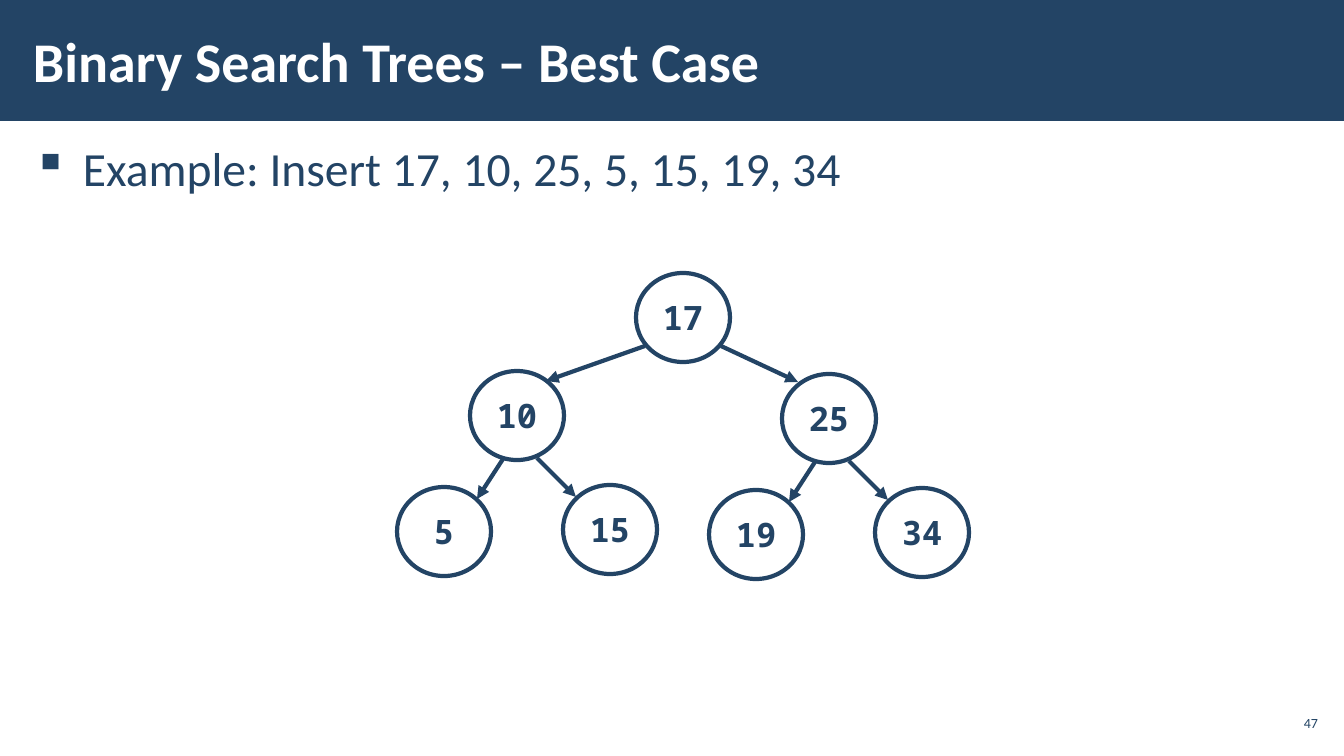
from lxml import etree
from pptx import Presentation
from pptx.dml.color import RGBColor
from pptx.enum.shapes import MSO_CONNECTOR, MSO_SHAPE
from pptx.enum.text import MSO_ANCHOR, MSO_AUTO_SIZE, PP_ALIGN
from pptx.oxml.ns import qn
from pptx.util import Pt

# Content
TITLE = "Binary Search Trees – Best Case"
EXAMPLE = "Example: Insert 17, 10, 25, 5, 15, 19, 34"
PAGE = "47"
ROOT = ("17", 636, 273)
SUBTREES = [  # side, (key, left, top), keys of its left and right child
    ("left", ("10", 470, 371), ("5", "15")),
    ("right", ("25", 782, 374), ("19", "34")),
]

# Geometry in pixels
NODE_W, NODE_H = 94, 89
LEAF_OFFSET = {"left": (-73, 116), "right": (93, 114)}
# Arrow ends, measured from the corners of the parent and child nodes
ROOT_ARROW = {"left": ((9, 73), (76, 10)), "right": ((85, 73), (16, 8))}
LEAF_ARROW = {"left": ((33, 88), (80, 12)), "right": ((67, 87), (13, 12))}

NAVY = RGBColor(0x23, 0x44, 0x65)
WHITE = RGBColor(0xFF, 0xFF, 0xFF)
SANS, MONO = "Calibri", "Noto Sans Mono"
EMU_PER_PX = 914400 / 100.8


def px(*lengths):
    return [round(n * EMU_PER_PX) for n in lengths]


def add_xml(parent, tag, **attributes):
    child = etree.SubElement(parent, qn(tag))
    for name, value in attributes.items():
        child.set(name, value)
    return child


def write(shape, text, size, color, font=SANS, bold=False, align=PP_ALIGN.LEFT,
          anchor=MSO_ANCHOR.MIDDLE, insets=(12, 4), wrap=True):
    frame = shape.text_frame
    frame.auto_size = MSO_AUTO_SIZE.NONE
    frame.word_wrap = wrap
    frame.vertical_anchor = anchor
    frame.margin_left = frame.margin_right = px(insets[0])[0]
    frame.margin_top = frame.margin_bottom = px(insets[1])[0]
    paragraph = frame.paragraphs[0]
    paragraph.alignment = align
    run = paragraph.add_run()
    run.text = text
    run.font.name, run.font.size, run.font.bold = font, Pt(size), bold
    run.font.color.rgb = color
    return paragraph


def add_node(key, left, top):
    node = shapes.add_shape(MSO_SHAPE.OVAL, *px(left, top, NODE_W, NODE_H))
    node.shadow.inherit = False
    node.fill.solid()
    node.fill.fore_color.rgb = WHITE
    add_xml(node.element.spPr.find(".//" + qn("a:srgbClr")), "a:alpha", val="50000")
    node.line.color.rgb, node.line.width = NAVY, Pt(3)
    write(node, key, 24, NAVY, MONO, True, PP_ALIGN.CENTER, wrap=False)


def add_arrow(parent, child, offsets):
    (_, px0, py0), (_, cx0, cy0) = parent, child
    (dx1, dy1), (dx2, dy2) = offsets
    arrow = shapes.add_connector(
        MSO_CONNECTOR.STRAIGHT, *px(px0 + dx1, py0 + dy1, cx0 + dx2, cy0 + dy2))
    arrow.line.color.rgb, arrow.line.width = NAVY, Pt(3)
    add_xml(arrow.line._get_or_add_ln(), "a:tailEnd", type="triangle")
    add_xml(arrow.element.spPr, "a:effectLst")


prs = Presentation()
prs.slide_width, prs.slide_height = px(1344, 756)
slide = prs.slides.add_slide(prs.slide_layouts[5])
shapes = slide.shapes

# Title on its bar
bar = shapes.add_shape(MSO_SHAPE.RECTANGLE, *px(0, 0, 1344, 121))
bar.shadow.inherit = False
bar.fill.solid()
bar.fill.fore_color.rgb = NAVY
bar.line.fill.background()
title = shapes.title
title.element.addprevious(bar.element)
title.left, title.top, title.width, title.height = px(21, 11, 1048, 98)
write(title, TITLE, 40, WHITE, bold=True)

# Bulleted example
body = shapes.add_textbox(*px(21, 132, 1302, 574))
bullet = write(body, EXAMPLE, 34, NAVY, anchor=MSO_ANCHOR.TOP)
bullet.line_spacing = 1.05
bullet.space_before = bullet.space_after = Pt(6)
indent = px(50)[0]
properties = bullet._p.get_or_add_pPr()
properties.set("marL", str(indent))
properties.set("indent", str(-indent))
add_xml(properties, "a:buChar", char="▪")

# Page number
page = shapes.add_textbox(*px(1275, 706, 47, 34))
write(page, PAGE, 10, NAVY, align=PP_ALIGN.RIGHT, insets=(4, 4))

# Tree
add_node(*ROOT)
for side, parent, leaf_keys in SUBTREES:
    add_node(*parent)
    add_arrow(ROOT, parent, ROOT_ARROW[side])
    for leaf_side, key in zip(("left", "right"), leaf_keys):
        dx, dy = LEAF_OFFSET[leaf_side]
        leaf = (key, parent[1] + dx, parent[2] + dy)
        add_node(*leaf)
        add_arrow(parent, leaf, LEAF_ARROW[leaf_side])

prs.save("out.pptx")
